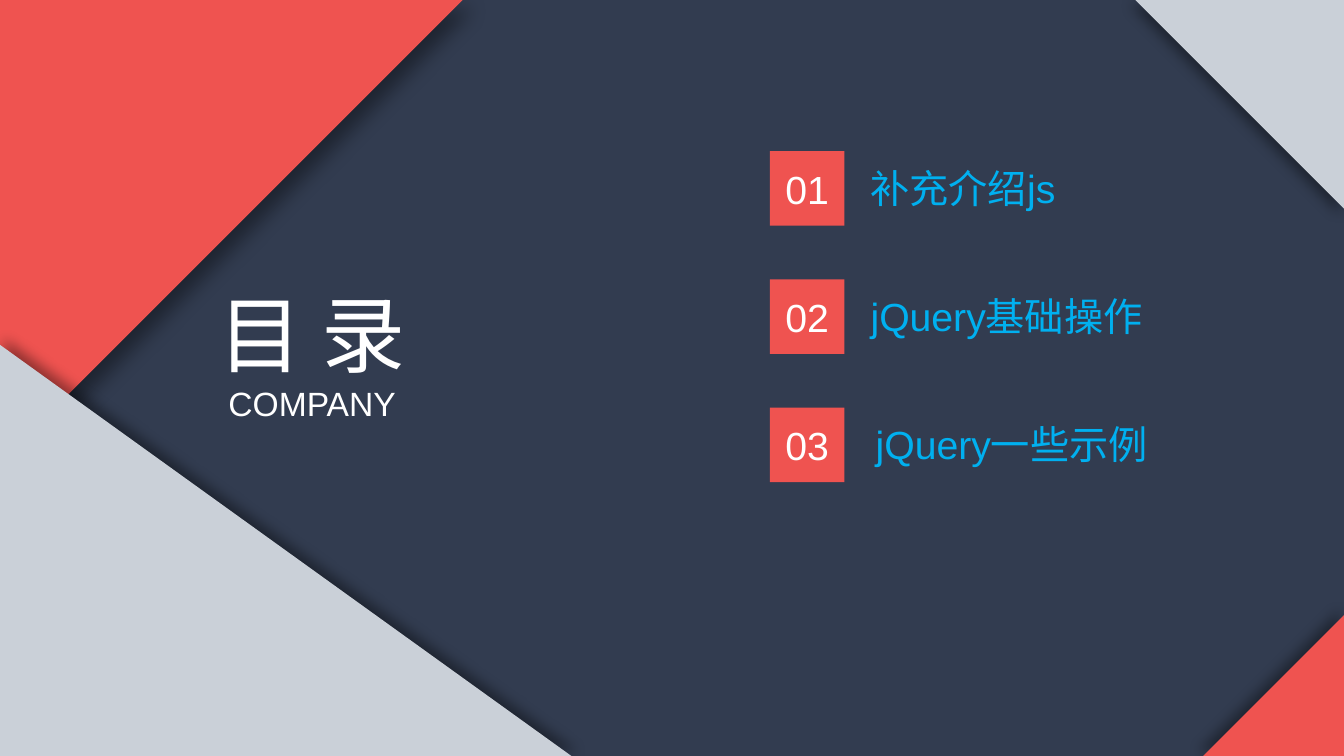
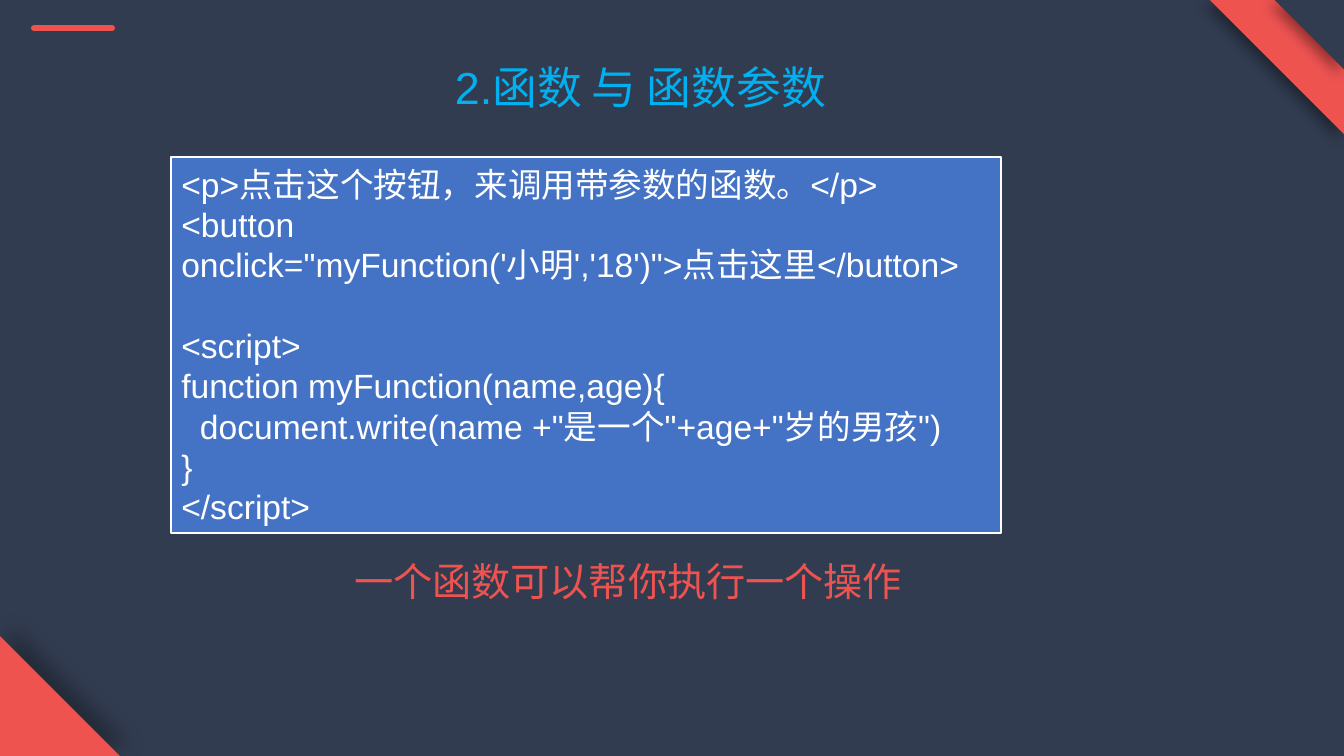
from lxml import etree
from pptx import Presentation
from pptx.dml.color import RGBColor
from pptx.enum.shapes import MSO_CONNECTOR, MSO_SHAPE
from pptx.enum.text import MSO_ANCHOR, PP_ALIGN
from pptx.oxml.ns import qn
from pptx.util import Cm, Pt

NAVY = RGBColor(0x32, 0x3C, 0x50)
RED = RGBColor(0xEF, 0x53, 0x50)
GREY = RGBColor(0xCA, 0xD0, 0xD8)
CYAN = RGBColor(0x00, 0xB0, 0xF0)
BLUE = RGBColor(0x44, 0x72, 0xC4)
WHITE = RGBColor(0xFF, 0xFF, 0xFF)
FONT = "Arial"
RECT, TRIANGLE = MSO_SHAPE.RECTANGLE, MSO_SHAPE.RIGHT_TRIANGLE
LEFT, CENTER = PP_ALIGN.LEFT, PP_ALIGN.CENTER
TOP, MIDDLE = MSO_ANCHOR.TOP, MSO_ANCHOR.MIDDLE
SLIDE_W, SLIDE_H = 33.87, 19.05
# Each corner: rotation of the triangle, direction of its shadow
CORNERS = {"bottom left": (0, 315), "top left": (90, 45),
           "top right": (180, 135), "bottom right": (270, 225)}


def add_corner(s, corner, w, h, color, alpha=40, blur=10, dist=5):
    """Fill a slide corner with a right triangle whose shadow falls inwards."""
    rotation, direction = CORNERS[corner]
    x = SLIDE_W - w if "right" in corner else 0
    y = SLIDE_H - h if "bottom" in corner else 0
    sp = s.shapes.add_shape(TRIANGLE, Cm(x), Cm(y), Cm(w), Cm(h))
    sp.rotation = rotation
    sp.fill.solid()
    sp.fill.fore_color.rgb = color
    sp.line.fill.background()
    sp.shadow.inherit = False
    effects = sp._element.spPr.find(qn("a:effectLst"))
    shadow = etree.SubElement(
        effects, qn("a:outerShdw"), blurRad=str(Pt(blur)), dist=str(Pt(dist)),
        dir=str(direction * 60000), algn="ctr", rotWithShape="0")
    black = etree.SubElement(shadow, qn("a:srgbClr"), val="000000")
    etree.SubElement(black, qn("a:alpha"), val=str(alpha * 1000))


def write(sp, lines, color, align=CENTER, anchor=TOP, wrap=True):
    """Fill a shape with paragraphs given as (text, size) pairs."""
    tf = sp.text_frame
    tf.word_wrap = wrap
    tf.vertical_anchor = anchor
    for i, (text, size) in enumerate(lines):
        p = tf.add_paragraph() if i else tf.paragraphs[0]
        p.alignment = align
        r = p.add_run()
        r.text = text
        r.font.name = FONT
        r.font.size = Pt(size)
        r.font.color.rgb = color
    return tf


prs = Presentation()
prs.slide_width, prs.slide_height = Cm(SLIDE_W), Cm(SLIDE_H)
background = prs.slide_master.background.fill
background.solid()
background.fore_color.rgb = NAVY
title_only = prs.slide_layouts[5]

# Slide 1: contents
s = prs.slides.add_slide(title_only)
title = s.shapes.title
title.left, title.top, title.width, title.height = Cm(5.16), Cm(6.98), Cm(5.41), Cm(3.84)
write(title, [("目 录", 60), ("COMPANY", 24)], WHITE, wrap=False)

add_corner(s, "top right", 5.26, 5.26, GREY)
add_corner(s, "top left", 11.66, 11.66, RED, blur=15, dist=10)
add_corner(s, "bottom right", 3.55, 3.55, RED)
add_corner(s, "bottom left", 14.4, 10.36, GREY)

topics = [("补充介绍js", 21.69), ("jQuery基础操作", 21.69), ("jQuery一些示例", 21.82)]
for i, (topic, x) in enumerate(topics):
    y = 3.81 + i * 3.23
    square = s.shapes.add_shape(RECT, Cm(19.4), Cm(y), Cm(1.88), Cm(1.88))
    square.fill.solid()
    square.fill.fore_color.rgb = RED
    square.line.fill.background()
    square.shadow.inherit = False
    write(square, [(f"{i + 1:02}", 28)], WHITE, anchor=MIDDLE, wrap=False)
    label = s.shapes.add_textbox(Cm(x), Cm(y + 0.2), Cm(7.49), Cm(1.45))
    write(label, [(topic, 28)], CYAN, align=LEFT)

# Slide 2: functions and parameters
s = prs.slides.add_slide(title_only)
title = s.shapes.title
title.left, title.top, title.width, title.height = Cm(0.51), Cm(1.37), Cm(31.27), Cm(1.63)
write(title, [("2.函数 与 函数参数", 32)], CYAN)

add_corner(s, "top right", 3.38, 3.38, RED)
add_corner(s, "bottom left", 3.02, 3.02, RED, alpha=30, blur=15, dist=10)
add_corner(s, "top right", 1.75, 1.75, NAVY)

dash = s.shapes.add_connector(MSO_CONNECTOR.STRAIGHT, Cm(0.86), Cm(0.71), Cm(2.82), Cm(0.71))
dash.line.color.rgb = RED
dash.line.width = Pt(4.5)
dash.line._get_or_add_ln().set("cap", "rnd")
etree.SubElement(dash._element.spPr, qn("a:effectLst"))

code = [
    "<p>点击这个按钮，来调用带参数的函数。</p>",
    "<button onclick=\"myFunction('小明','18')\">点击这里</button>",
    "<script>",
    "function myFunction(name,age){",
    'document.write(name +"是一个"+age+"岁的男孩")',
    "}",
    "</script>",
]
box = s.shapes.add_shape(RECT, Cm(4.32), Cm(3.96), Cm(20.9), Cm(9.47))
box.fill.solid()
box.fill.fore_color.rgb = BLUE
box.line.color.rgb = WHITE
box.line.width = Pt(1.5)
box.shadow.inherit = False
tf = write(box, [(line, 24) for line in code], WHITE, align=LEFT, anchor=MIDDLE)
tf.paragraphs[2].space_before = Pt(29)
tf.paragraphs[4]._p.get_or_add_pPr().set("marL", str(Cm(0.47)))

caption = s.shapes.add_textbox(Cm(7.7), Cm(13.92), Cm(16.26), Cm(1.45))
write(caption, [("一个函数可以帮你执行一个操作", 28)], RED)

prs.save("out.pptx")
